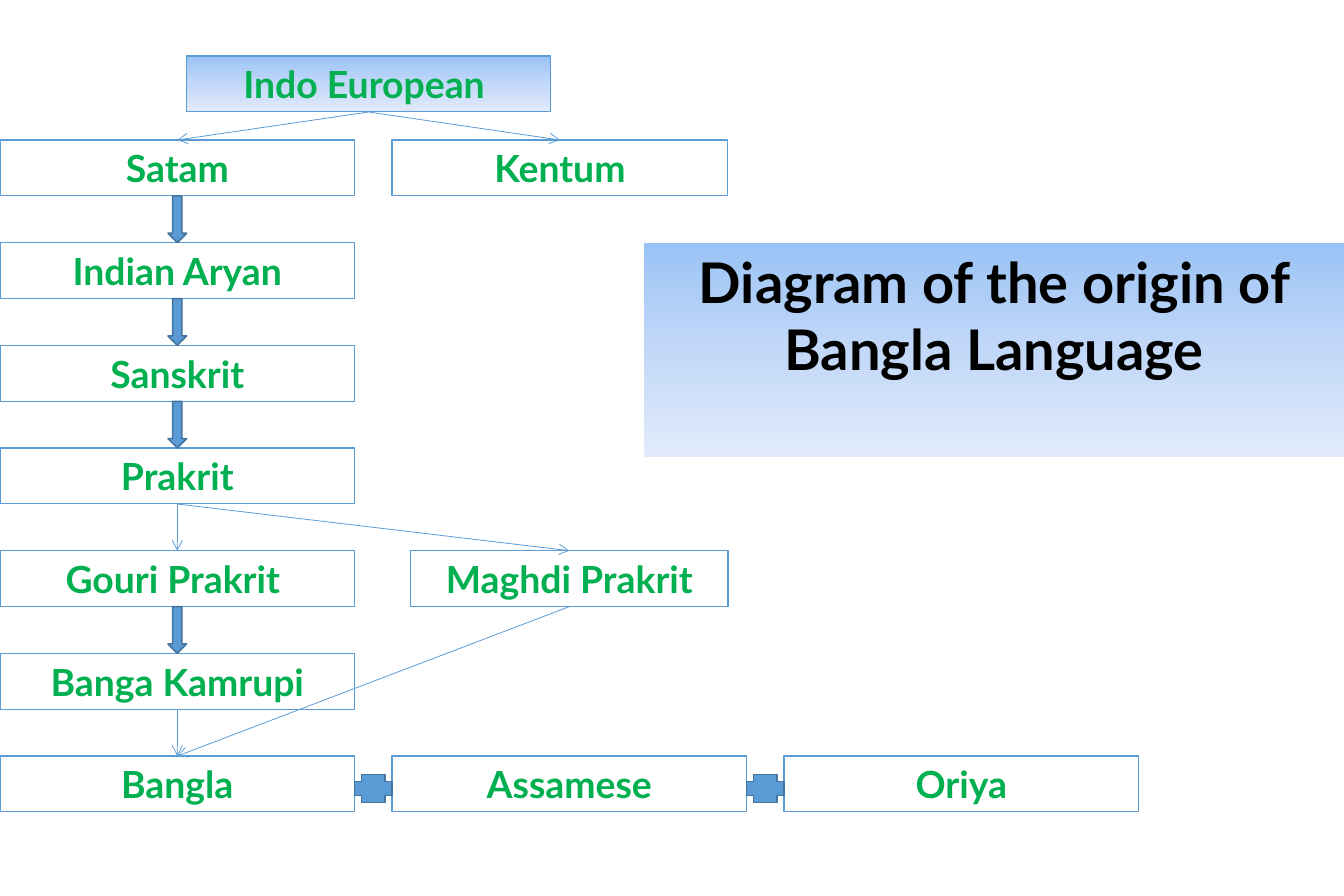
from copy import deepcopy

from pptx import Presentation
from pptx.dml.color import RGBColor
from pptx.enum.shapes import MSO_CONNECTOR, MSO_SHAPE
from pptx.enum.text import MSO_ANCHOR, MSO_AUTO_SIZE, PP_ALIGN
from pptx.oxml.ns import qn
from pptx.util import Pt

# Content
TITLE = "Diagram of the origin of Bangla Language"
# Language: (row, left, width); row -1 sits above the main column
LANGUAGES = {
    "Satam": (0, 0, 228),
    "Indo European ": (-1, 120, 234),
    "Indian Aryan": (1, 0, 228),
    "Sanskrit": (2, 0, 228),
    "Prakrit": (3, 0, 228),
    "Gouri Prakrit ": (4, 0, 228),
    "Maghdi Prakrit": (4, 264, 204),
    "Banga Kamrupi": (5, 0, 228),
    "Bangla": (6, 0, 228),
    "Kentum": (0, 252, 216),
    "Assamese": (6, 252, 228),
    "Oriya": (6, 504, 228),
}
BLOCK_ARROWS_FROM = ["Satam", "Indian Aryan", "Sanskrit", "Gouri Prakrit "]
THIN_ARROWS = [
    ("Indo European ", "Kentum"),
    ("Indo European ", "Satam"),
    ("Prakrit", "Gouri Prakrit "),
    ("Prakrit", "Maghdi Prakrit"),
    ("Maghdi Prakrit", "Bangla"),
    ("Banga Kamrupi", "Bangla"),
]
PLUS_AFTER = ["Bangla", "Assamese"]

# Layout and colours
ROOT_TOP, FIRST_ROW, ROW_STEP, BOX_HEIGHT = 36, 90, 66, 36
ROW_GAP = ROW_STEP - BOX_HEIGHT
ARROW_WIDTH, PLUS_WIDTH, PLUS_HEIGHT, PLUS_DROP = 12, 24, 18, 12
GRADIENT = [(0, "9AC3F5"), (0.5, "C2D8F8"), (1, "E1EBFB")]
BLUE, DARK_BLUE, GREEN, BLACK = "5B9BD5", "43739E", "00B050", "000000"
FONT = "Lato"
BOTTOM_SITE, TOP_SITE = 2, 0


def color(hex_string):
    return RGBColor.from_string(hex_string)


def set_line(line, hex_string, width):
    line.color.rgb = color(hex_string)
    line.width = Pt(width)


def fill_gradient(shape):
    shape.fill.gradient()
    shape.fill.gradient_angle = 270
    stop_list = shape._element.spPr.find(".//" + qn("a:gsLst"))
    stop_list.append(deepcopy(stop_list[0]))
    for stop, (position, hex_string) in zip(shape.fill.gradient_stops, GRADIENT):
        stop.position = position
        stop.color.rgb = color(hex_string)


def write_text(shape, text, size, hex_string, anchor, inset_x, inset_y):
    frame = shape.text_frame
    frame.word_wrap = True
    frame.auto_size = MSO_AUTO_SIZE.NONE
    frame.vertical_anchor = anchor
    frame.margin_left = frame.margin_right = Pt(inset_x)
    frame.margin_top = frame.margin_bottom = Pt(inset_y)
    paragraph = frame.paragraphs[0]
    paragraph.alignment = PP_ALIGN.CENTER
    run = paragraph.add_run()
    run.text = text
    run.font.name = FONT
    run.font.size = Pt(size)
    run.font.bold = True
    run.font.color.rgb = color(hex_string)


def add_shape(kind, left, top, width, height):
    shape = slide.shapes.add_shape(kind, Pt(left), Pt(top), Pt(width), Pt(height))
    shape.shadow.inherit = False
    return shape


def add_marker(kind, left, top, width, height):
    marker = add_shape(kind, left, top, width, height)
    marker.fill.solid()
    marker.fill.fore_color.rgb = color(BLUE)
    set_line(marker.line, DARK_BLUE, 1)


def row_top(row):
    return ROOT_TOP if row < 0 else FIRST_ROW + row * ROW_STEP


presentation = Presentation()
presentation.slide_width, presentation.slide_height = Pt(864), Pt(576)
slide = presentation.slides.add_slide(presentation.slide_layouts[5])

# Title
title = slide.shapes.title
title.left, title.top, title.width, title.height = Pt(414), Pt(156), Pt(450), Pt(138)
title.height = Pt(137.5)
fill_gradient(title)
write_text(title, TITLE, 36, BLACK, MSO_ANCHOR.TOP, 6, 3)

# Language boxes
boxes = {}
for language, (row, left, width) in LANGUAGES.items():
    box = add_shape(MSO_SHAPE.RECTANGLE, left, row_top(row), width, BOX_HEIGHT)
    if row < 0:
        fill_gradient(box)
    else:
        box.fill.background()
    set_line(box.line, BLUE, 0.75)
    write_text(box, language, 24, GREEN, MSO_ANCHOR.MIDDLE, 8, 4)
    boxes[language] = box

# Block arrows down the main column
for language in BLOCK_ARROWS_FROM:
    row, left, width = LANGUAGES[language]
    add_marker(MSO_SHAPE.DOWN_ARROW, left + (width - ARROW_WIDTH) / 2,
               row_top(row) + BOX_HEIGHT, ARROW_WIDTH, ROW_GAP)

# Plus signs between the sister languages
for language in PLUS_AFTER:
    row, left, width = LANGUAGES[language]
    add_marker(MSO_SHAPE.CROSS, left + width, row_top(row) + PLUS_DROP,
               PLUS_WIDTH, PLUS_HEIGHT)

# Thin arrows from parent to descendant
for parent, descendant in THIN_ARROWS:
    arrow = slide.shapes.add_connector(MSO_CONNECTOR.STRAIGHT, 0, 0, 0, 0)
    arrow.begin_connect(boxes[parent], BOTTOM_SITE)
    arrow.end_connect(boxes[descendant], TOP_SITE)
    set_line(arrow.line, BLUE, 0.5)
    properties = arrow._element.spPr
    line_xml = arrow.line._get_or_add_ln()
    line_xml.append(line_xml.makeelement(qn("a:tailEnd"), {"type": "arrow"}))
    properties.append(properties.makeelement(qn("a:effectLst"), {}))

presentation.save("out.pptx")
